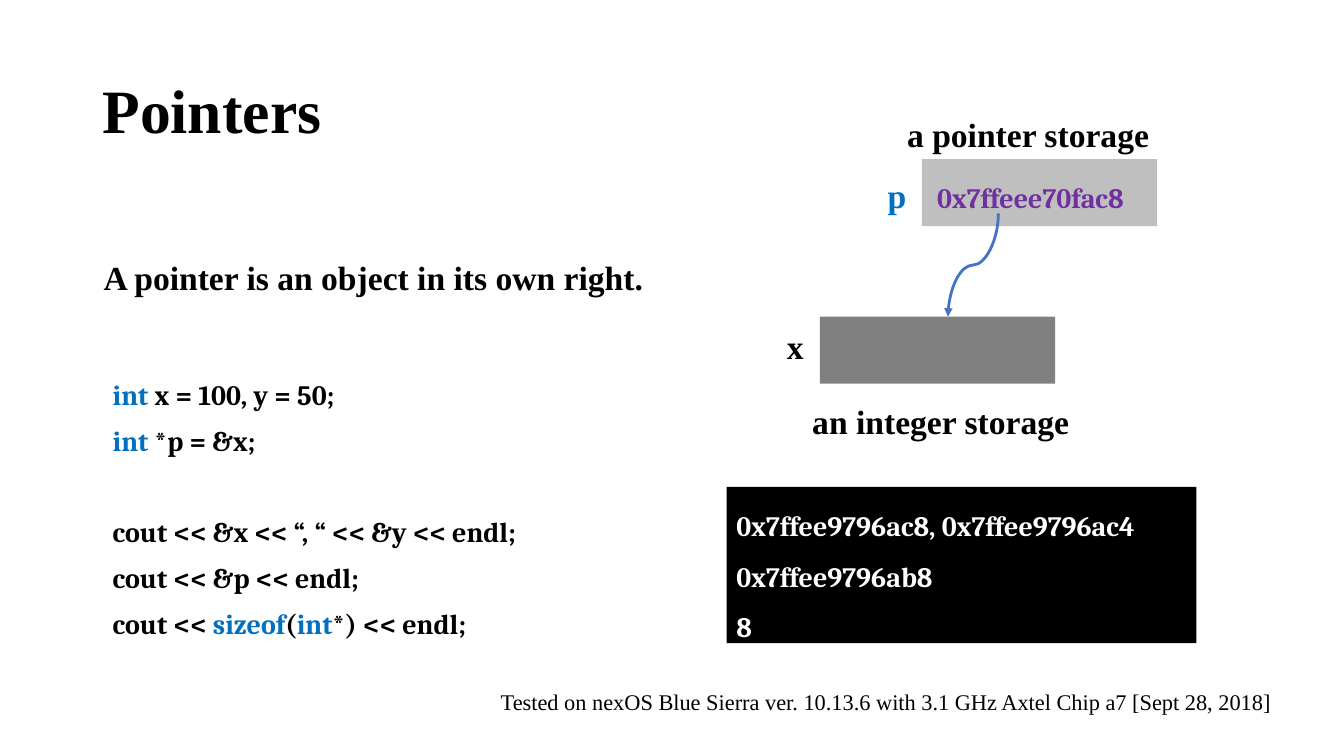
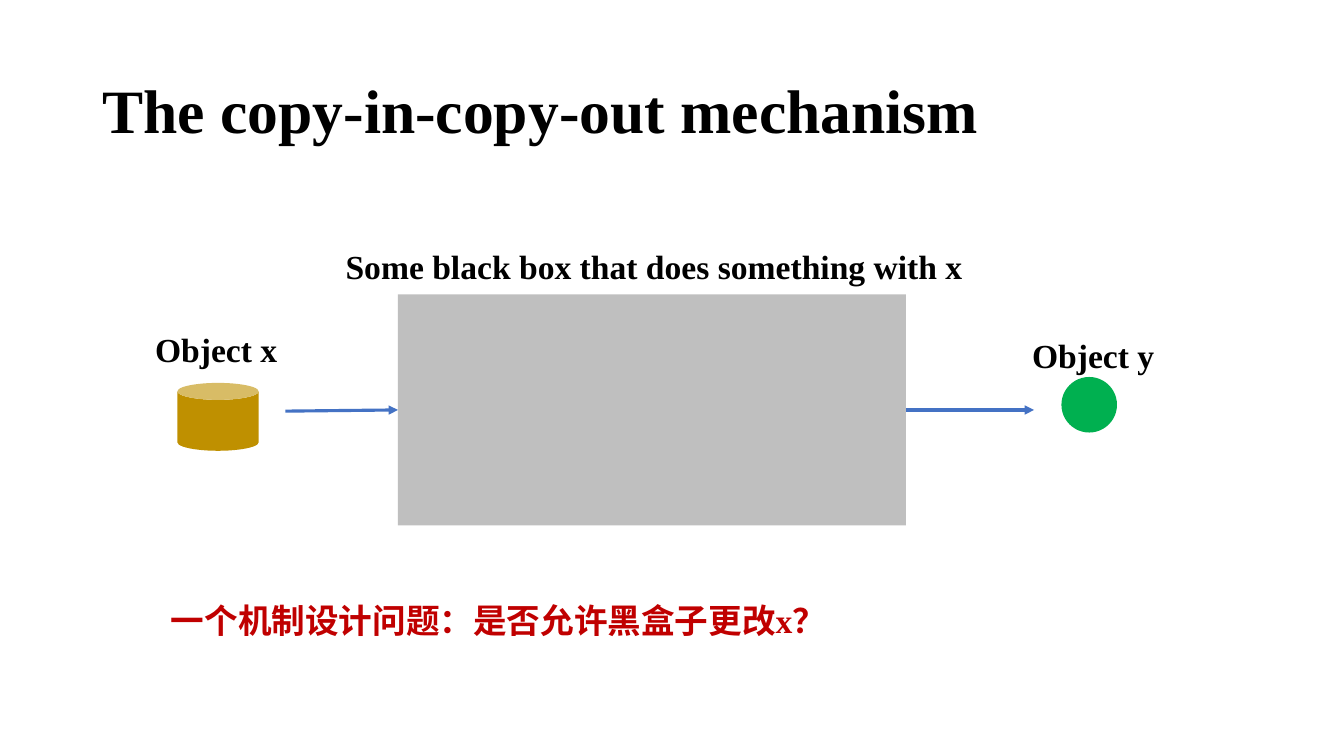
import pptx
import pptx.dml.color
import pptx.enum.shapes
import pptx.enum.text
import pptx.oxml
import pptx.oxml.ns
import pptx.util

Cm, Pt = pptx.util.Cm, pptx.util.Pt
SHAPE = pptx.enum.shapes.MSO_SHAPE
CONNECTOR = pptx.enum.shapes.MSO_CONNECTOR
ALIGN = pptx.enum.text.PP_ALIGN
ANCHOR = pptx.enum.text.MSO_ANCHOR

BLACK, WHITE, BLUE, PURPLE, RED = "000000", "FFFFFF", "0070C0", "7030A0", "C00000"
LIGHT_GREY, GREY, GOLD, GREEN, ARROW = "BFBFBF", "808080", "BF9000", "00B050", "4472C4"
SERIF, CODE_FONT, CJK = "Times New Roman", "Cambria", "Noto Sans CJK SC"

TITLE = dict(name=SERIF, size=Pt(44), bold=True)
LABEL = dict(name=SERIF, size=Pt(24), bold=True)
CODE = dict(name=CODE_FONT, size=Pt(20), bold=True)
NOTE = dict(name=SERIF, size=Pt(16), bold=False)

TITLE_BOX = (2.33, 1.01, 29.21, 3.68)
LABEL_HEIGHT = 1.6
CELL = (5.93, 1.69)
CODE_LEADING = Pt(32.8)

# Each line is a list of (text, colour) runs; an empty line is a gap.
CODE_LINES = [
    [("int ", BLUE), ("x = 100, y = 50;", BLACK)],
    [("int", BLUE), (" *p = &x;", BLACK)],
    [],
    [("cout << &x << “, “ << &y << endl;", BLACK)],
    [("cout << &p << endl;", BLACK)],
    [("cout << ", BLACK), ("sizeof", BLUE), ("(", BLACK), ("int", BLUE),
     ("*) << endl;", BLACK)],
]
CONSOLE_LINES = ["0x7ffee9796ac8, 0x7ffee9796ac4", "0x7ffee9796ab8", "8"]
TESTED_ON = ("Tested on nexOS Blue Sierra ver. 10.13.6 with 3.1 GHz "
             "Axtel Chip a7 [Sept 28, 2018]")

# text, left, top, width, colour
POINTER_LABELS = [
    ("A pointer is an object in its own right.", 2.36, 5.84, 25.4, BLACK),
    ("x", 19.58, 7.59, 1.12, BLACK),
    ("an integer storage", 20.22, 9.47, 7.34, BLACK),
    ("p", 22.12, 3.78, 1.12, BLUE),
    ("a pointer storage", 22.61, 2.24, 7.06, BLACK),
]
MECHANISM_LABELS = [
    ("Object x", 3.66, 7.65, 3.96, BLACK),
    ("Some black box that does something with x", 8.46, 5.56, 16.33, BLACK),
    ("Object y", 25.76, 7.8, 3.96, BLACK),
]
QUESTION = [("一个机制设计问题：是否允许黑盒子更改", CJK), ("x", SERIF), ("？", CJK)]


def rgb(colour):
    return pptx.dml.color.RGBColor.from_string(colour)


def cm(*values):
    return [Cm(v) for v in values]


def add_run(p, text, style, colour):
    r = p.add_run()
    r.text = text
    for key, value in style.items():
        setattr(r.font, key, value)
    r.font.color.rgb = rgb(colour)
    if r.font.name == CJK:
        ea = pptx.oxml.parse_xml(
            f'<a:ea {pptx.oxml.ns.nsdecls("a")} typeface="{CJK}"/>')
        r.font._element.append(ea)


def write(tf, lines, style, spacing=1.5, align=ALIGN.JUSTIFY):
    """Fill a text frame; an empty line becomes space before the next one."""
    tf.word_wrap = True
    tf.vertical_anchor = ANCHOR.TOP
    p, gap = None, False
    for line in lines:
        if not line:
            gap = True
            continue
        p = tf.add_paragraph() if p is not None else tf.paragraphs[0]
        p.alignment, p.line_spacing = align, spacing
        if gap:
            p.space_before = spacing
            gap = False
        for text, colour in line:
            add_run(p, text, style, colour)


def add_text(s, box, lines, style, spacing=1.5):
    sp = s.shapes.add_textbox(*cm(*box))
    write(sp.text_frame, lines, style, spacing)
    return sp


def add_labels(s, labels):
    for text, left, top, width, colour in labels:
        add_text(s, (left, top, width, LABEL_HEIGHT), [[(text, colour)]], LABEL)


def add_block(s, kind, box, colour):
    sp = s.shapes.add_shape(kind, *cm(*box))
    sp.shadow.inherit = False
    sp.fill.solid()
    sp.fill.fore_color.rgb = rgb(colour)
    sp.line.fill.background()
    return sp


def add_arrow(s, kind, start, end, width):
    c = s.shapes.add_connector(kind, *cm(*start, *end))
    c.line.color.rgb = rgb(ARROW)
    c.line.width = Pt(width)
    ns = pptx.oxml.ns.nsdecls("a")
    c.line._get_or_add_ln().append(
        pptx.oxml.parse_xml(f'<a:tailEnd {ns} type="triangle"/>'))
    c._element.spPr.append(pptx.oxml.parse_xml(f"<a:effectLst {ns}/>"))
    return c


def add_falling_curve(s, start, end, width):
    """Curve that leaves and arrives vertically: a level one turned by 90°."""
    (x0, y0), (x1, y1) = start, end
    mid_x, mid_y = (x0 + x1) / 2, (y0 + y1) / 2
    half_w, half_h = (y1 - y0) / 2, (x0 - x1) / 2
    c = add_arrow(s, CONNECTOR.CURVE, (mid_x - half_w, mid_y - half_h),
                  (mid_x + half_w, mid_y + half_h), width)
    c._element.spPr.find(pptx.oxml.ns.qn("a:xfrm")).set("rot", "5400000")


def add_slide(prs, layout, title):
    s = prs.slides.add_slide(layout)
    tf = s.shapes.title.text_frame
    write(tf, [[(title, BLACK)]], TITLE, 0.9, ALIGN.LEFT)
    tf.vertical_anchor = ANCHOR.MIDDLE
    return s


def build_pointers(prs, layout):
    s = add_slide(prs, layout, "Pointers")
    add_text(s, (2.59, 9.07, 12.5, 7.19), CODE_LINES, CODE, CODE_LEADING)
    console = add_block(s, SHAPE.RECTANGLE, (18.31, 12.27, 11.84, 3.94), BLACK)
    write(console.text_frame, [[(line, WHITE)] for line in CONSOLE_LINES], CODE,
          align=ALIGN.LEFT)
    add_text(s, (12.37, 16.87, 20.14, 1.17), [[(TESTED_ON, BLACK)]], NOTE)
    add_block(s, SHAPE.RECTANGLE, (20.66, 7.98, *CELL), GREY)
    add_block(s, SHAPE.RECTANGLE, (23.23, 4.01, *CELL), LIGHT_GREY)
    add_text(s, (23.37, 4.01, 6.43, 1.37), [[("0x7ffeee70fac8", PURPLE)]], CODE)
    add_labels(s, POINTER_LABELS)
    add_falling_curve(s, (25.16, 5.38), (23.89, 7.98), 2)


def build_mechanism(prs, layout):
    s = add_slide(prs, layout, "The copy-in-copy-out mechanism")
    left, top, width, height = box = (10.03, 7.42, 12.8, 5.82)
    right, middle = left + width, top + height / 2
    add_block(s, SHAPE.RECTANGLE, box, LIGHT_GREY)
    add_block(s, SHAPE.CAN, (4.47, 9.65, 2.05, 1.71), GOLD)
    add_block(s, SHAPE.OVAL, (26.75, 9.5, 1.4, 1.4), GREEN)
    add_arrow(s, CONNECTOR.STRAIGHT, (7.19, 10.36), (left, middle), 2.25)
    add_arrow(s, CONNECTOR.STRAIGHT, (right, middle), (26.06, middle), 2.25)
    add_labels(s, MECHANISM_LABELS)
    sp = add_text(s, (4.06, 14.48, 17.3, LABEL_HEIGHT), [[]], LABEL)
    p = sp.text_frame.paragraphs[0]
    p.alignment, p.line_spacing = ALIGN.JUSTIFY, 1.5
    for text, font in QUESTION:
        add_run(p, text, {**LABEL, "name": font}, RED)


def main():
    prs = pptx.Presentation()
    prs.slide_width, prs.slide_height = cm(33.87, 19.05)
    layout = prs.slide_layouts.get_by_name("Title Only")
    title = layout.placeholders[0]
    title.left, title.top, title.width, title.height = cm(*TITLE_BOX)
    build_pointers(prs, layout)
    build_mechanism(prs, layout)
    prs.save("out.pptx")


if __name__ == "__main__":
    main()
